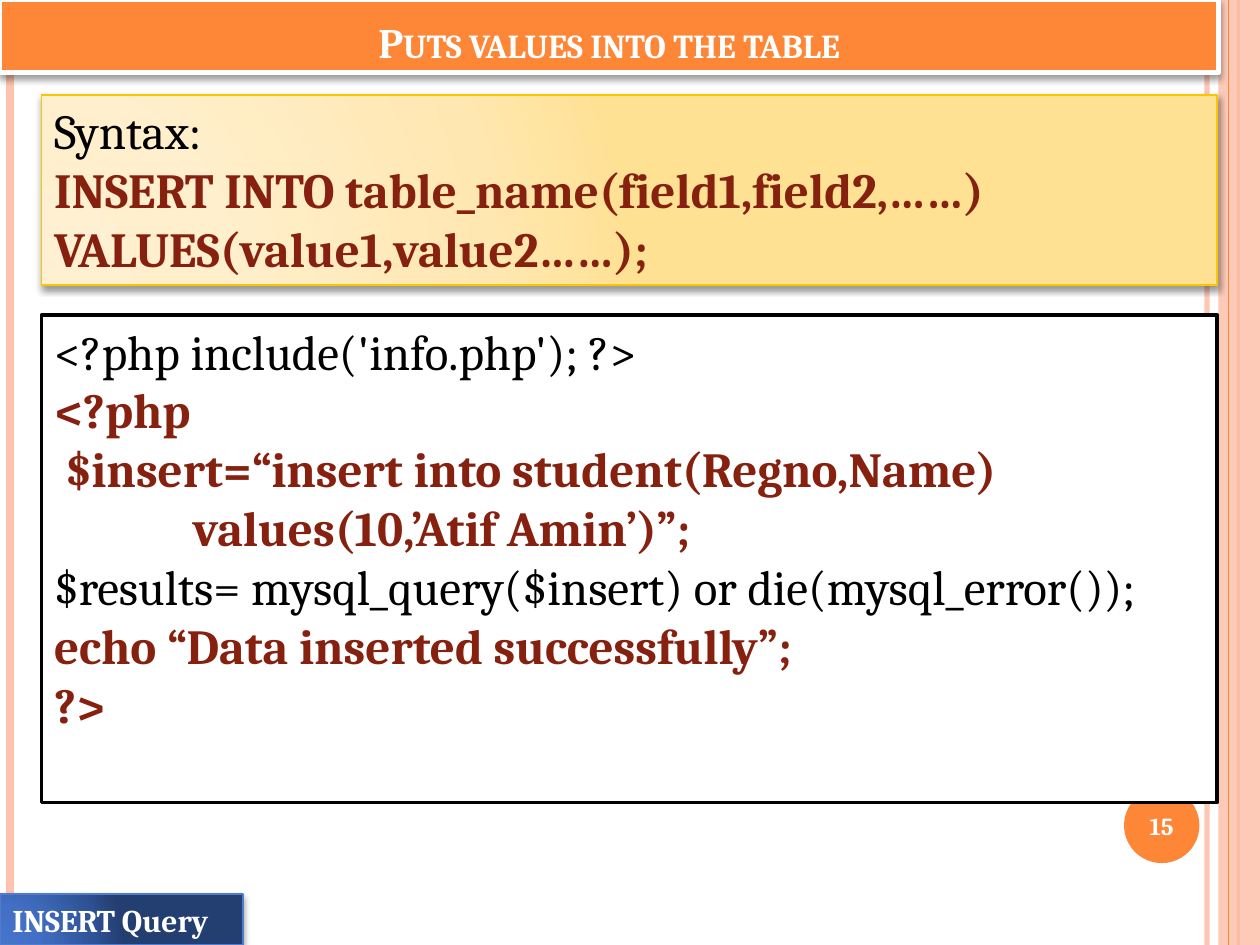
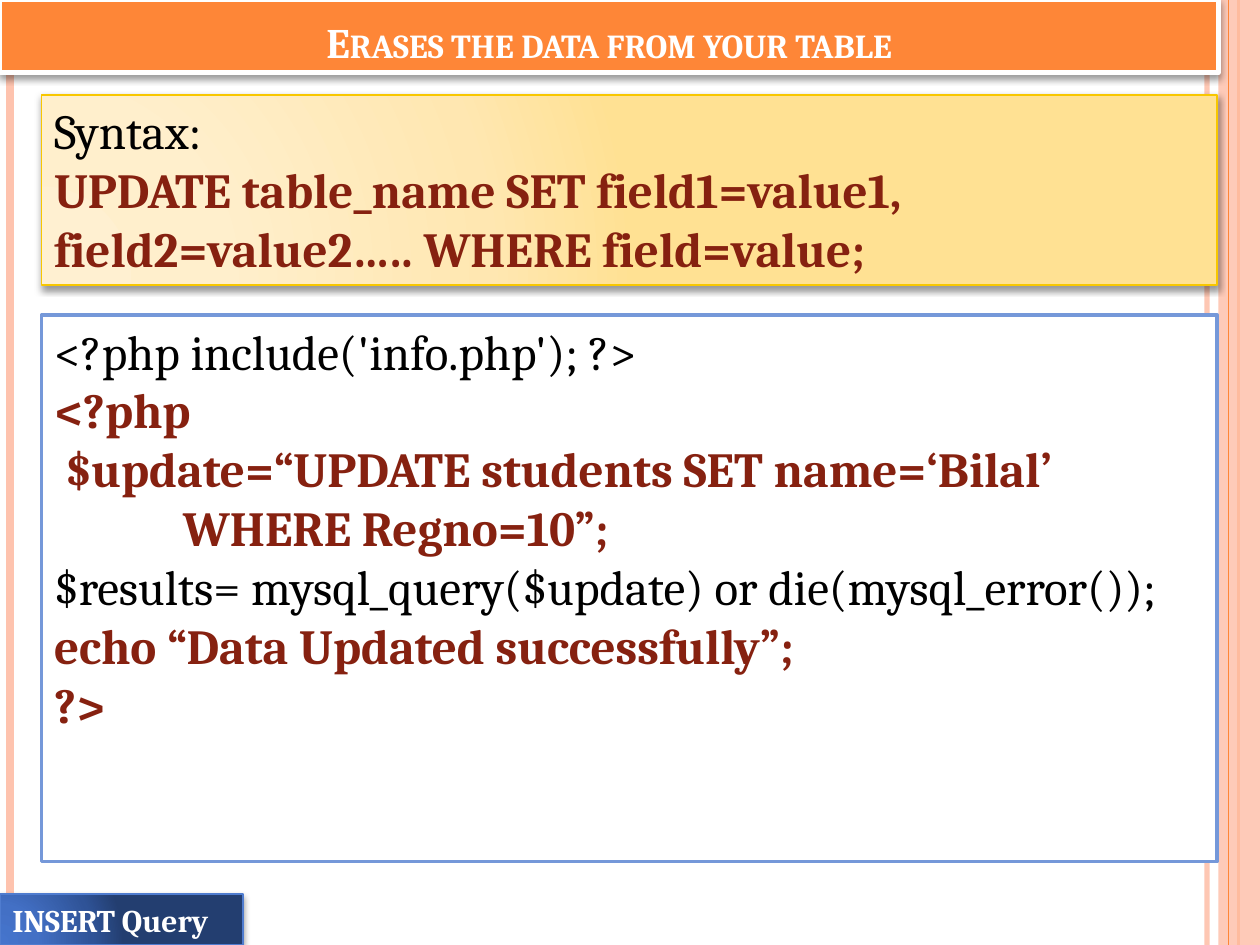
from lxml import etree
from pptx import Presentation
from pptx.dml.color import RGBColor
from pptx.enum.shapes import MSO_CONNECTOR, MSO_SHAPE
from pptx.enum.text import MSO_ANCHOR, MSO_AUTO_SIZE, PP_ALIGN
from pptx.oxml.ns import qn
from pptx.util import Cm, Pt

RECT, OVAL = MSO_SHAPE.RECTANGLE, MSO_SHAPE.OVAL
STRAIGHT = MSO_CONNECTOR.STRAIGHT
TOP, MIDDLE, BOTTOM = MSO_ANCHOR.TOP, MSO_ANCHOR.MIDDLE, MSO_ANCHOR.BOTTOM
LEFT, CENTER = PP_ALIGN.LEFT, PP_ALIGN.CENTER
TITLE_ONLY = 5

# Shared style
FONT = "Cambria"
ORANGE, PEACH, WHITE, BLACK = "FE8637", "FEC3AE", "FFFFFF", "000000"
CODE_RED, GOLD, BLUE, PALE_BLUE = "862110", "F8C700", "4F7CCF", "7598D9"
GOLD_GLOW = [(0, "FFF0D1"), (30, "FFEFCC"), (75, "FFE7B1"), (100, "FFE193")]
BLUE_GLOW = [(0, "4574CC"), (30, "4370C5"), (75, "2F5397"), (100, "233E70")]

# Shared geometry in cm: left, top, width, height
SLIDE_W, SLIDE_H = 25.4, 19.05
TITLE_BAND = (0, 0, 24.56, 1.47)
SYNTAX_BOX = (0.84, 1.91, 23.7, 3.84)
CODE_LEFT, CODE_TOP, CODE_W = 0.84, 6.35, 23.7
TAG_BOX = (0, 18.03, 4.9, 1.02)
NUMBER_BOX = (22.66, 15.88, 1.52, 1.52)
EDGE_BAND = (24.56, 0, 0.84, SLIDE_H)
# x, colour, width in points, opacity in percent
EDGE_LINES = [(24.33, PEACH, 3, 93), (0.2, PEACH, 4.5, 100), (24.97, ORANGE, 1.5, 100)]
INNER_LINE = (24.77, ORANGE, 0.75, 100)

SLIDES = [
    {
        "title": "Puts values into the table",
        "syntax": ["INSERT INTO table_name(field1,field2,……)",
                   "VALUES(value1,value2……);"],
        "query": " $insert=“insert into student(Regno,Name)",
        "query_end": "values(10,’Atif Amin’)”;",
        "query_indent": 2.8,
        "variable": "$insert",
        "message": "Data inserted successfully",
        "code_height": 9.83,
        "code_border": BLACK,
        "number": "15",
    },
    {
        "title": "Erases the data from your table",
        "syntax": ["UPDATE table_name SET field1=value1, field2=value2….. WHERE field=value;"],
        "query": " $update=“UPDATE students SET name=‘Bilal’",
        "query_end": "WHERE Regno=10”;",
        "query_indent": 2.6,
        "variable": "$update",
        "message": "Data Updated successfully",
        "code_height": 11.02,
        "code_border": PALE_BLUE,
        "number": None,
    },
]


def rgb(hex_colour):
    return RGBColor.from_string(hex_colour)


def set_opacity(shape, percent):
    if percent < 100:
        for colour in shape._element.spPr.iter(qn("a:srgbClr")):
            etree.SubElement(colour, qn("a:alpha"), val=str(percent * 1000))


def add_glow(shape, stops):
    """Radial gradient that starts near the lower left corner."""
    gradient = etree.Element(qn("a:gradFill"), rotWithShape="1")
    stop_list = etree.SubElement(gradient, qn("a:gsLst"))
    for position, colour in stops:
        stop = etree.SubElement(stop_list, qn("a:gs"), pos=str(position * 1000))
        etree.SubElement(stop, qn("a:srgbClr"), val=colour)
    circle = etree.SubElement(gradient, qn("a:path"), {"path": "circle"})
    etree.SubElement(circle, qn("a:fillToRect"), l="5000", t="100000", r="120000", b="10000")
    shape._element.spPr.find(qn("a:prstGeom")).addnext(gradient)


def add_shadow(shape, opacity=40, distance=2.0):
    effects = shape._element.spPr.find(qn("a:effectLst"))
    shadow = etree.SubElement(effects, qn("a:outerShdw"), blurRad=str(Pt(4)),
                              dist=str(Pt(distance)), dir="5400000", rotWithShape="0")
    colour = etree.SubElement(shadow, qn("a:srgbClr"), val=BLACK)
    etree.SubElement(colour, qn("a:alpha"), val=str(opacity * 1000))


def style(shape, fill=None, line=None, line_width=1.0):
    shape.shadow.inherit = False
    if fill:
        shape.fill.solid()
        shape.fill.fore_color.rgb = rgb(fill)
    if line:
        shape.line.color.rgb = rgb(line)
        shape.line.width = Pt(line_width)
    else:
        shape.line.fill.background()


def add_box(slide, box, kind=RECT, **look):
    shape = slide.shapes.add_shape(kind, *map(Cm, box))
    style(shape, **look)
    return shape


def add_rule(slide, x, colour, width, opacity):
    rule = slide.shapes.add_connector(STRAIGHT, Cm(x), 0, Cm(x), Cm(SLIDE_H))
    rule.line.color.rgb = rgb(colour)
    rule.line.width = Pt(width)
    set_opacity(rule, opacity)
    etree.SubElement(rule._element.spPr, qn("a:effectLst"))


def write(shape, lines, size=28, anchor=TOP, align=LEFT, small_caps=False, inset=0.25):
    """Each line is (text, colour, bold) with an optional indent in cm."""
    frame = shape.text_frame
    frame.word_wrap = True
    frame.auto_size = MSO_AUTO_SIZE.NONE
    frame.vertical_anchor = anchor
    frame.margin_left = frame.margin_right = Cm(inset)
    for index, (text, colour, bold, *indent) in enumerate(lines):
        paragraph = frame.add_paragraph() if index else frame.paragraphs[0]
        paragraph.alignment = align
        if indent:
            paragraph._p.get_or_add_pPr().set("marL", str(Cm(indent[0])))
        run = paragraph.add_run()
        run.text = text
        run.font.name = FONT
        run.font.size = Pt(size)
        run.font.bold = bold
        run.font.color.rgb = rgb(colour)
        if small_caps:
            run._r.get_or_add_rPr().set("cap", "small")


def add_frame(slide, number):
    """Edge lines, right band and page number."""
    for rule in EDGE_LINES:
        add_rule(slide, *rule)
    set_opacity(add_box(slide, EDGE_BAND, fill=PEACH), 87)
    add_rule(slide, *INNER_LINE)
    if number:
        disc = add_box(slide, NUMBER_BOX, OVAL, fill=ORANGE)
        write(disc, [(number, WHITE, True)], size=14, anchor=MIDDLE, align=CENTER, inset=0)


def add_title(slide, text):
    title = slide.shapes.title
    title.left, title.top, title.width, title.height = map(Cm, TITLE_BAND)
    style(title, fill=ORANGE, line=WHITE, line_width=2.75)
    add_shadow(title)
    write(title, [(text, WHITE, True)], size=24, anchor=BOTTOM, align=CENTER, small_caps=True)
    slide.shapes._spTree.append(title._element)  # in front of the edge lines


def add_syntax(slide, box, statements):
    syntax = add_box(slide, box, line=GOLD)
    add_glow(syntax, GOLD_GLOW)
    add_shadow(syntax)
    write(syntax, [("Syntax:", BLACK, False)] + [(text, CODE_RED, True) for text in statements])


def add_tag(slide, box, text):
    tag = add_box(slide, box, line=BLUE)
    add_glow(tag, BLUE_GLOW)
    add_shadow(tag, opacity=42, distance=1.6)
    write(tag, [(text, WHITE, True)], size=18)


def add_code(slide, box, content):
    code = add_box(slide, box, fill=WHITE, line=content["code_border"], line_width=2)
    write(code, [
        ("<?php include('info.php'); ?>", BLACK, False),
        ("<?php", CODE_RED, True),
        (content["query"], CODE_RED, True),
        (content["query_end"], CODE_RED, True, content["query_indent"]),
        (f"$results= mysql_query({content['variable']}) or die(mysql_error());", BLACK, False),
        (f"echo “{content['message']}”;", CODE_RED, True),
        ("?>", CODE_RED, True),
    ])


def add_query_slide(deck, content):
    slide = deck.slides.add_slide(deck.slide_layouts[TITLE_ONLY])
    add_frame(slide, content["number"])
    add_syntax(slide, SYNTAX_BOX, content["syntax"])
    add_title(slide, content["title"])
    add_tag(slide, TAG_BOX, "INSERT Query")
    add_code(slide, (CODE_LEFT, CODE_TOP, CODE_W, content["code_height"]), content)


def main():
    deck = Presentation()
    deck.slide_width, deck.slide_height = Cm(SLIDE_W), Cm(SLIDE_H)
    for content in SLIDES:
        add_query_slide(deck, content)
    deck.save("out.pptx")


if __name__ == "__main__":
    main()
